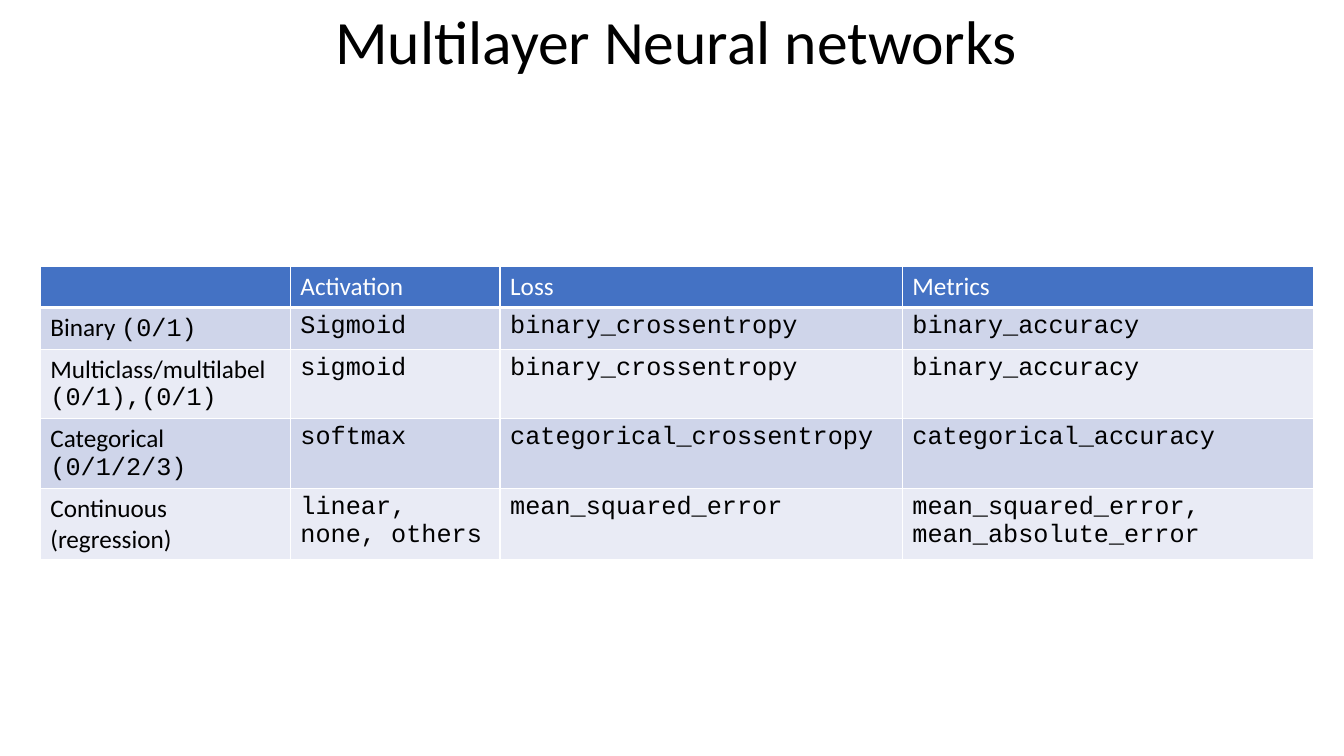
from lxml import etree
from pptx import Presentation
from pptx.dml.color import RGBColor
from pptx.enum.text import MSO_ANCHOR, PP_ALIGN
from pptx.oxml.ns import qn
from pptx.util import Inches, Pt

CENTER = PP_ALIGN.CENTER
MIDDLE = MSO_ANCHOR.MIDDLE
SANS = "Calibri"
MONO = "Courier New"
COLORS = {
    "text": "000000",
    "header_text": "FFFFFF",
    "border": "FFFFFF",
    "header": "4472C4",
    "odd_row": "CFD5EA",
    "even_row": "E9EBF5",
}


def add_text(paragraph, text, font=SANS, size=18, color="text"):
    run = paragraph.add_run()
    run.text = text
    run.font.name = font
    run.font.size = Pt(size)
    run.font.bold = False
    run.font.color.rgb = RGBColor.from_string(COLORS[color])


def set_borders(cell, bottom_width):
    properties = cell._tc.get_or_add_tcPr()
    widths = {"a:lnL": 1, "a:lnR": 1, "a:lnT": 1, "a:lnB": bottom_width}
    for position, (tag, width) in enumerate(widths.items()):
        line = etree.Element(qn(tag), w=str(Pt(width)))
        fill = etree.SubElement(line, qn("a:solidFill"))
        etree.SubElement(fill, qn("a:srgbClr"), val=COLORS["border"])
        properties.insert(position, line)


presentation = Presentation()
presentation.slide_width = Inches(13.33)
presentation.slide_height = Inches(7.5)
slide = presentation.slides.add_slide(presentation.slide_layouts[5])

title = slide.shapes.title
title.left, title.top = Inches(0.96), Inches(-0.28)
title.width, title.height = Inches(11.5), Inches(1.45)
title.text_frame.vertical_anchor = MIDDLE
title_paragraph = title.text_frame.paragraphs[0]
title_paragraph.alignment = CENTER
title_paragraph.line_spacing = 0.9
add_text(title_paragraph, "Multilayer Neural networks", size=44)

headings = ["", "Activation", "Loss", "Metrics"]
tasks = [
    [[("Binary ", SANS), ("(0/1)", MONO)]],
    [[("Multiclass/multilabel", SANS)], [("(0/1),(0/1)", MONO)]],
    [[("Categorical", SANS)], [("(0/1/2/3)", MONO)]],
    [[("Continuous (regression)", SANS)]],
]
settings = [
    ["Sigmoid", "binary_crossentropy", "binary_accuracy"],
    ["sigmoid", "binary_crossentropy", "binary_accuracy"],
    ["softmax", "categorical_crossentropy", "categorical_accuracy"],
    ["linear, none, others", "mean_squared_error", "mean_squared_error, mean_absolute_error"],
]
rows = [[[[(heading, SANS)]] for heading in headings]]
for task, values in zip(tasks, settings):
    rows.append([task] + [[[(value, MONO)]] for value in values])

column_widths = [2.48, 2.08, 3.99, 4.08]
row_heights = [0.41, 0.41, 0.69, 0.69, 0.7]
table = slide.shapes.add_table(
    len(rows), len(headings), Inches(0.4), Inches(2.64),
    Inches(sum(column_widths)), Inches(sum(row_heights)),
).table
for column, width in zip(table.columns, column_widths):
    column.width = Inches(width)

for row_index, (row, height) in enumerate(zip(rows, row_heights)):
    table.rows[row_index].height = Inches(height)
    is_header = row_index == 0
    row_fill = "header" if is_header else "odd_row" if row_index % 2 else "even_row"
    for column_index, paragraphs in enumerate(row):
        cell = table.cell(row_index, column_index)
        cell.fill.solid()
        cell.fill.fore_color.rgb = RGBColor.from_string(COLORS[row_fill])
        set_borders(cell, 3 if is_header else 1)
        for paragraph_index, runs in enumerate(paragraphs):
            frame = cell.text_frame
            paragraph = frame.add_paragraph() if paragraph_index else frame.paragraphs[0]
            for text, font in runs:
                add_text(paragraph, text, font=font, color="header_text" if is_header else "text")

presentation.save("out.pptx")
